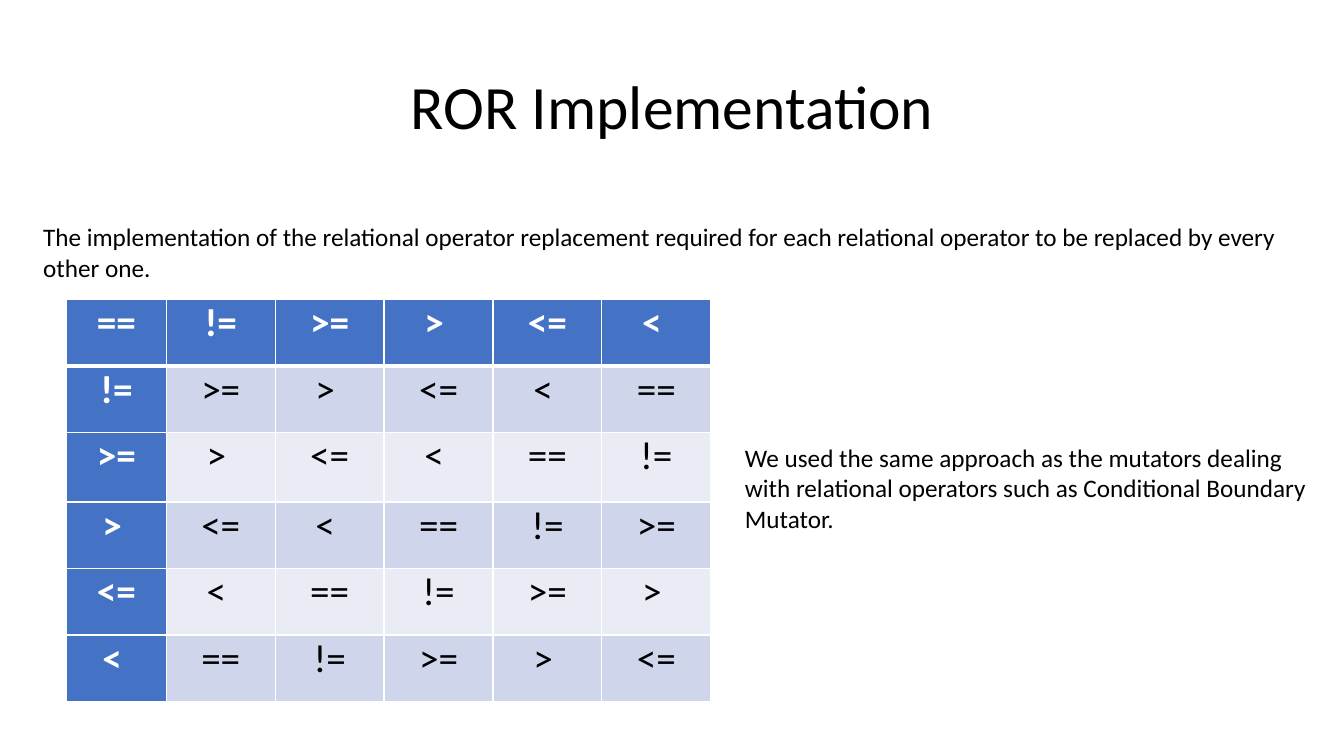
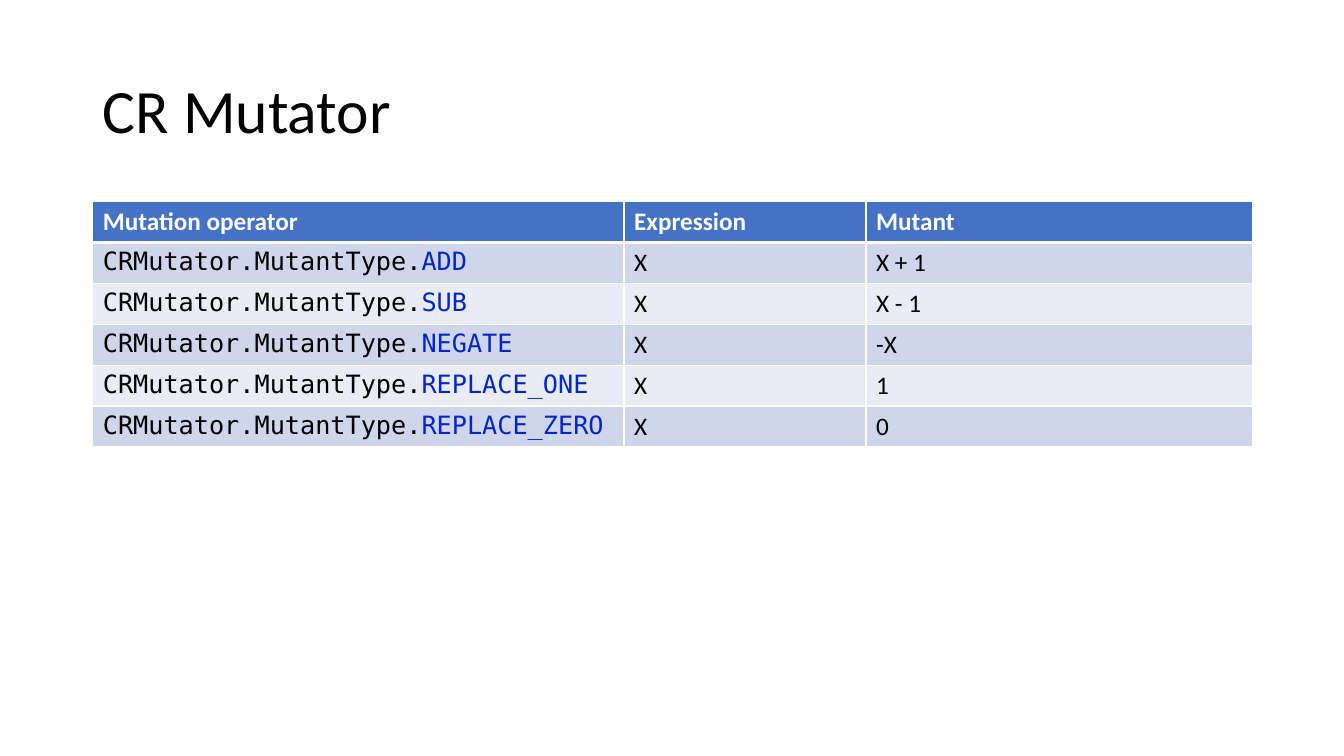
"""Build two slides on mutation operators, each with a title and a banded table."""
from dataclasses import dataclass

from lxml.etree import SubElement
from pptx import Presentation
from pptx.dml.color import RGBColor as Rgb
from pptx.enum.text import MSO_ANCHOR as Anchor, MSO_AUTO_SIZE as Fit, PP_ALIGN as Align
from pptx.oxml.ns import qn
from pptx.util import Inches, Pt

FONT, MONO = "Calibri", "DejaVu Sans Mono"
BLACK, WHITE, BLUE, CODE = "000000", "FFFFFF", "4472C4", "0326CC"
BANDS = ("E9EBF5", "CFD5EA")
Span = tuple[str, str, str]


@dataclass(frozen=True)
class Box:
    left: float
    top: float
    width: float
    height: float

    def place(self) -> list[int]:
        return [Inches(n) for n in (self.left, self.top, self.width, self.height)]


@dataclass(frozen=True)
class Note:
    text: str
    box: Box
    foot: float = 0.05


@dataclass(frozen=True)
class Grid:
    left: float
    top: float
    cols: list[float]
    rows: list[float]
    cells: list[list[str | list[Span]]]
    size: int = 18
    align: Align = Align.LEFT
    inset: tuple[float, float] = (0.1, 0.05)
    side: bool = False


def tint(code: str) -> Rgb:
    return Rgb.from_string(code)


def write(line, text: str, *, size: int = 18, font: str = FONT, color: str = BLACK,
          bold: bool = False, align: Align = Align.LEFT) -> None:
    line.alignment = align
    run = line.add_run()
    run.text = text
    run.font.size = Pt(size)
    run.font.name = font
    run.font.bold = bold
    run.font.color.rgb = tint(color)


def edge(cell, **widths: int) -> None:
    props = cell._tc.get_or_add_tcPr()
    for spot, side in enumerate("LRTB"):
        line = SubElement(props, qn(f"a:ln{side}"), w=str(Pt(widths.get(side, 1))))
        fill = SubElement(line, qn("a:solidFill"))
        SubElement(fill, qn("a:srgbClr"), val=WHITE)
        props.insert(spot, line)


def draw_grid(slide, grid: Grid) -> None:
    box = Box(grid.left, grid.top, sum(grid.cols), sum(grid.rows))
    table = slide.shapes.add_table(len(grid.rows), len(grid.cols), *box.place()).table
    table.first_col = grid.side
    for col, width in zip(table.columns, grid.cols):
        col.width = Inches(width)
    for row, height in zip(table.rows, grid.rows):
        row.height = Inches(height)
    for r, texts in enumerate(grid.cells):
        for c, text in enumerate(texts):
            cell = table.cell(r, c)
            head = r == 0 or (grid.side and c == 0)
            cell.margin_left = cell.margin_right = Inches(grid.inset[0])
            cell.margin_top = cell.margin_bottom = Inches(grid.inset[1])
            cell.fill.solid()
            cell.fill.fore_color.rgb = tint(BLUE if head else BANDS[r % 2])
            edge(cell, T=3 if r == 1 else 1, B=3 if r == 0 else 1)
            shade = WHITE if head else BLACK
            spans = [(text, FONT, shade)] if isinstance(text, str) else text
            for part, font, color in spans:
                write(cell.text_frame.paragraphs[0], part, size=grid.size, font=font,
                      color=color, bold=head, align=grid.align)


def draw_note(slide, note: Note) -> None:
    frame = slide.shapes.add_textbox(*note.box.place()).text_frame
    frame.word_wrap = True
    frame.vertical_anchor = Anchor.MIDDLE
    frame.margin_bottom = Inches(note.foot)
    write(frame.paragraphs[0], note.text)


def add_slide(deck, text: str, top: float, align: Align = Align.LEFT):
    slide = deck.slides.add_slide(deck.slide_layouts[5])
    title = slide.shapes.title
    title.left, title.top, title.width, title.height = Box(0.92, top, 11.5, 1.45).place()
    frame = title.text_frame
    frame.auto_size = Fit.NONE
    frame.vertical_anchor = Anchor.MIDDLE
    line = frame.paragraphs[0]
    line.line_spacing = 0.9
    write(line, text, size=44, align=align)
    return slide


SIGNS = ["==", "!=", ">=", ">\u00a0", "<=", "<\u00a0"]
COUNT = len(SIGNS)
SWAPS = Grid(0.66, 2.97, [0.99] + [1.08] * 5, [0.66, 0.66, 0.69, 0.66, 0.66, 0.66],
             [[SIGNS[(r + c) % COUNT] for c in range(COUNT)] for r in range(COUNT)],
             size=28, align=Align.CENTER, inset=(0.17, 0), side=True)
NOTES = [
    Note("The implementation of the relational operator replacement required for each "
         "relational operator to be replaced by every other one.",
         Box(0.33, 1.85, 12.74, 1.3)),
    Note("We used the same approach as the mutators dealing with relational operators "
         "such as Conditional Boundary Mutator.",
         Box(7.29, 3, 5.91, 3.98), foot=0.35),
]
KINDS = {"ADD": "X + 1", "SUB": "X - 1", "NEGATE": "-X",
         "REPLACE_ONE": "1", "REPLACE_ZERO": "0"}
TYPES = Grid(0.92, 2, [5.27, 2.4, 3.83], [0.405] * (len(KINDS) + 1),
             [["Mutation operator", "Expression", "Mutant"]]
             + [[[("CRMutator.MutantType.", MONO, BLACK), (kind, MONO, CODE)], "X", result]
                for kind, result in KINDS.items()])


def main() -> None:
    deck = Presentation()
    deck.slide_width, deck.slide_height = Inches(13.33), Inches(7.5)
    slide = add_slide(deck, "ROR Implementation", 0.36, Align.CENTER)
    draw_grid(slide, SWAPS)
    for note in NOTES:
        draw_note(slide, note)
    draw_grid(add_slide(deck, "CR Mutator", 0.4), TYPES)
    deck.save("out.pptx")


main()
